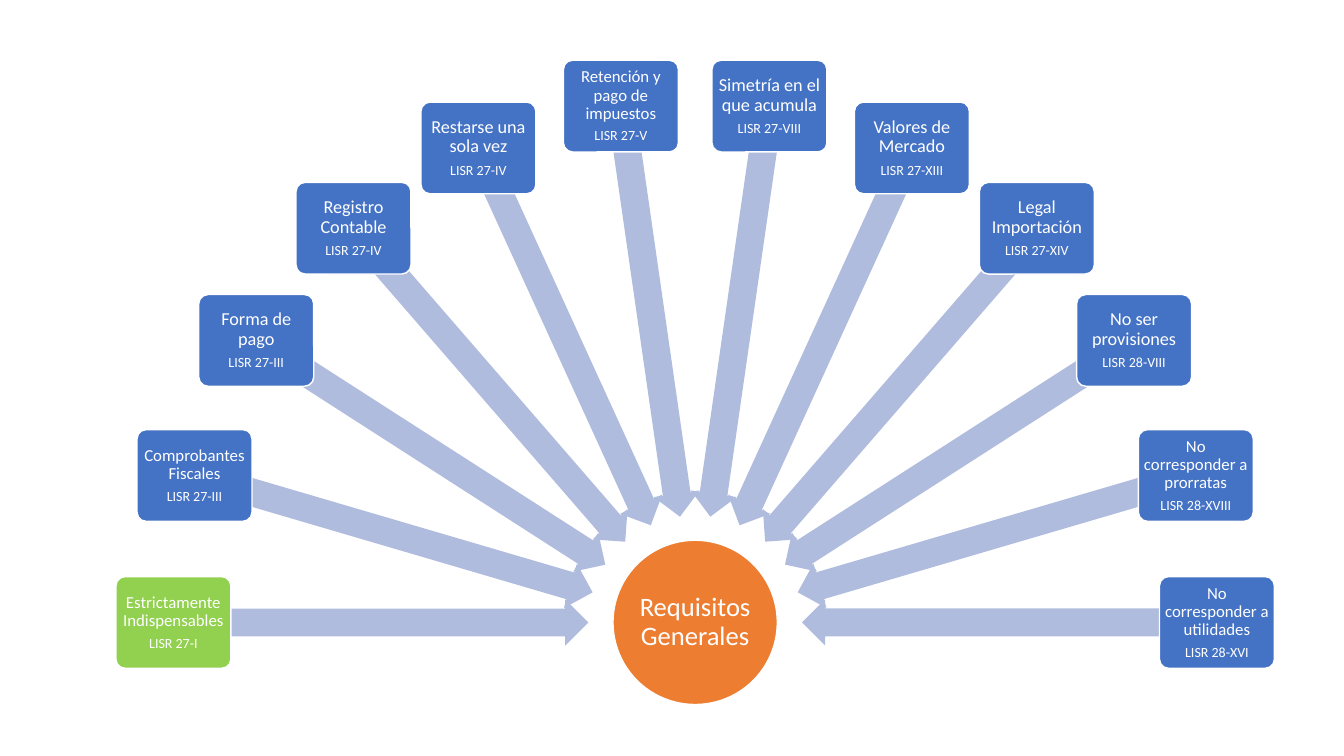
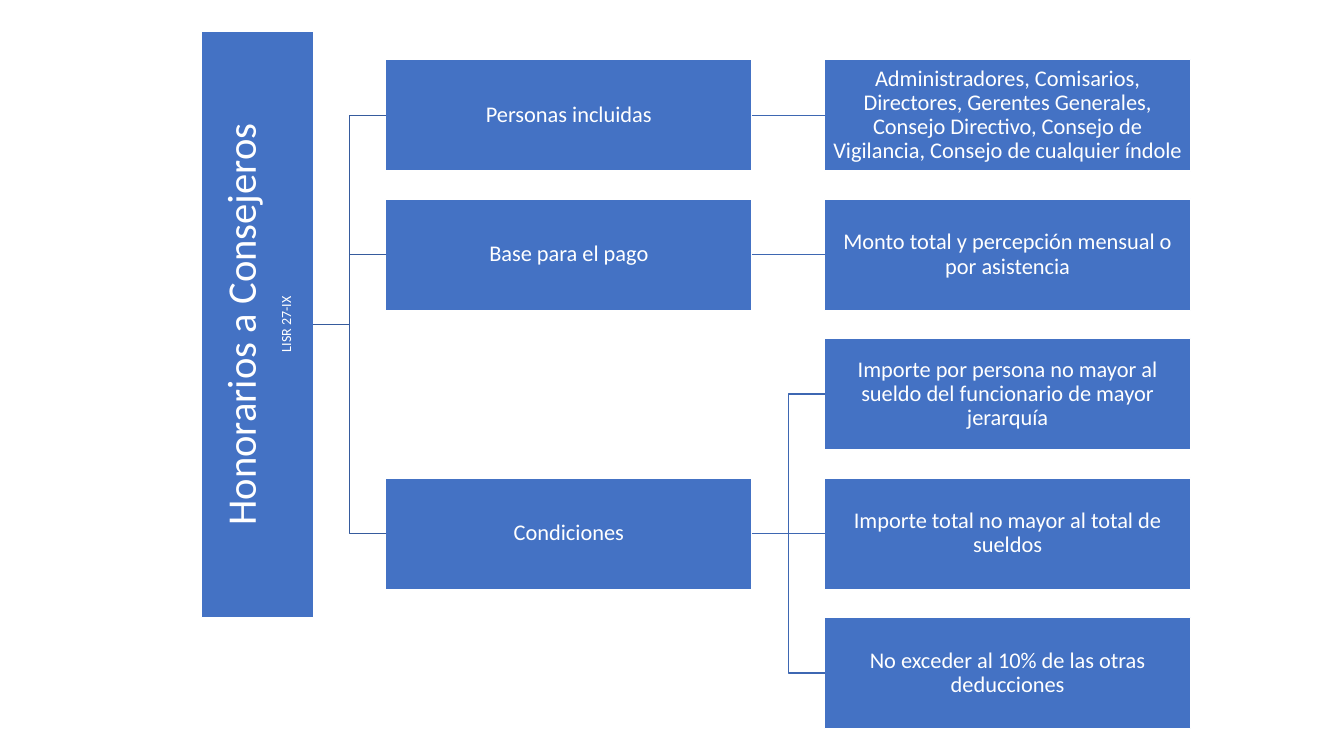
import math
from collections import namedtuple

from lxml import etree
from pptx import Presentation
from pptx.dml.color import RGBColor
from pptx.enum import shapes, text
from pptx.oxml import ns
from pptx.util import Inches, Pt

COLORS = {
    "box": "4472C4", "highlight": "92D050", "hub": "ED7D31", "arrow": "B0BCDE",
    "white": "FFFFFF", "root_line": "365B9D", "branch_line": "3E67B2",
}
FONT = "Calibri"
NOTE_SIZE = 10

Box = namedtuple("Box", "left top width height")

REQUIREMENTS = [
    ("Estrictamente Indispensables", "LISR 27-I", 12),
    ("Comprobantes Fiscales", "LISR 27-III", 12),
    ("Forma de pago", "LISR 27-III", 13),
    ("Registro Contable", "LISR 27-IV", 13),
    ("Restarse una sola vez", "LISR 27-IV", 13),
    ("Retención y pago de impuestos", "LISR 27-V", 12),
    ("Simetría en el que acumula", "LISR 27-VIII", 13),
    ("Valores de Mercado", "LISR 27-XIII", 13),
    ("Legal Importación", "LISR 27-XIV", 13),
    ("No ser provisiones", "LISR 28-VIII", 13),
    ("No corresponder a prorratas", "LISR 28-XVIII", 12),
    ("No corresponder a utilidades", "LISR 28-XVI", 12),
]

# Each branch: label, its row, and its leaves with their rows
BRANCHES = [
    ("Personas incluidas", 0, [
        ("Administradores, Comisarios, Directores, Gerentes Generales, "
         "Consejo Directivo, Consejo de Vigilancia, Consejo de cualquier índole", 0)]),
    ("Base para el pago", 1, [
        ("Monto total y percepción mensual o por asistencia", 1)]),
    ("Condiciones", 3, [
        ("Importe por persona no mayor al sueldo del funcionario de mayor jerarquía", 2),
        ("Importe total no mayor al total de sueldos", 3),
        ("No exceder al 10% de las otras deducciones", 4)]),
]


def rgb(name):
    return RGBColor.from_string(COLORS[name])


def add_centered(slide, kind, center_x, center_y, width, height, fill, outlined=True):
    shape = slide.shapes.add_shape(
        kind, Inches(center_x - width / 2), Inches(center_y - height / 2),
        Inches(width), Inches(height))
    shape.shadow.inherit = False
    shape.fill.solid()
    shape.fill.fore_color.rgb = rgb(fill)
    if outlined:
        shape.line.color.rgb = rgb("white")
        shape.line.width = Pt(1)
    else:
        shape.line.fill.background()
    return shape


def write(shape, lines, inset=0.01):
    """Fill a shape with centred white paragraphs given as (text, size) pairs."""
    frame = shape.text_frame
    frame.word_wrap = True
    frame.vertical_anchor = text.MSO_ANCHOR.MIDDLE
    frame.margin_left = frame.margin_right = Inches(inset)
    frame.margin_top = frame.margin_bottom = Inches(inset)
    for index, (words, size) in enumerate(lines):
        paragraph = frame.add_paragraph() if index else frame.paragraphs[0]
        paragraph.text = words
        paragraph.alignment = text.PP_ALIGN.CENTER
        paragraph.line_spacing = 0.9
        paragraph.space_after = Pt(0.35 * size)
        paragraph.font.name = FONT
        paragraph.font.size = Pt(size)
        paragraph.font.color.rgb = rgb("white")


def join(slide, parent, child, color):
    """Link the right side of the parent to the left side of the child."""
    level = parent.top + parent.height // 2 == child.top + child.height // 2
    kind = shapes.MSO_CONNECTOR.STRAIGHT if level else shapes.MSO_CONNECTOR.ELBOW
    connector = slide.shapes.add_connector(kind, 0, 0, 0, 0)
    connector.begin_connect(parent, 3)
    connector.end_connect(child, 1)
    connector.line.color.rgb = rgb(color)
    connector.line.width = Pt(1)
    etree.SubElement(connector.element.spPr, ns.qn("a:effectLst"))


def add_fan(slide, box, hub_text, cards):
    """Cards on a half circle, each with an arrow pointing at the hub."""
    card_width, card_height, hub_size = 1.14, 0.91, 1.63
    arrow_start, arrow_height = 1.06, 0.46
    center_x = box.left + box.width / 2
    center_y = box.top + box.height - hub_size / 2
    radius = (box.width - card_width) / 2
    arrow_length = radius - arrow_start
    arrow_radius = (radius + arrow_start) / 2

    hub = add_centered(slide, shapes.MSO_SHAPE.OVAL, center_x, center_y,
                       hub_size, hub_size, "hub")
    write(hub, [(hub_text, 19)])

    for index, (label, article, size) in enumerate(cards):
        degrees = 180 + 180 * index / (len(cards) - 1)
        cosine, sine = math.cos(math.radians(degrees)), math.sin(math.radians(degrees))
        arrow = add_centered(
            slide, shapes.MSO_SHAPE.LEFT_ARROW, center_x + arrow_radius * cosine,
            center_y + arrow_radius * sine, arrow_length, arrow_height, "arrow", False)
        arrow.adjustments[0] = 0.6
        arrow.rotation = degrees
        card = add_centered(
            slide, shapes.MSO_SHAPE.ROUNDED_RECTANGLE, center_x + radius * cosine,
            center_y + radius * sine, card_width, card_height,
            "box" if index else "highlight")
        card.adjustments[0] = 0.1
        write(card, [(label, size), (article, NOTE_SIZE)], inset=0.02)


def add_tree(slide, box, root_lines, branches):
    """Upright root at the left, then a column of branches and one of leaves."""
    last_row = max(row for _, _, leaves in branches for _, row in leaves)
    node_height = box.height / (1.25 * last_row + 1)
    row_pitch = 1.25 * node_height
    root_width, root_height, gap = node_height, 5.82, 0.72
    node_width = (box.width - root_width - 2 * gap) / 2

    def row_center(row):
        return box.top + node_height / 2 + row * row_pitch

    def add_node(column, row, label):
        left = box.left + root_width + gap + column * (node_width + gap)
        node = add_centered(slide, shapes.MSO_SHAPE.RECTANGLE, left + node_width / 2,
                            row_center(row), node_width, node_height, "box")
        write(node, [(label, 16)])
        return node

    middle_row = (branches[0][1] + branches[-1][1]) / 2
    root = add_centered(slide, shapes.MSO_SHAPE.RECTANGLE, box.left + root_width / 2,
                        row_center(middle_row), root_width, root_height, "box")
    write(root, root_lines, inset=0.02)
    root.element.txBody.find(ns.qn("a:bodyPr")).set("vert", "vert270")

    for label, row, leaves in branches:
        branch = add_node(0, row, label)
        join(slide, root, branch, "root_line")
        for leaf_label, leaf_row in leaves:
            join(slide, branch, add_node(1, leaf_row, leaf_label), "branch_line")


def main():
    presentation = Presentation()
    presentation.slide_width = Inches(13.33)
    presentation.slide_height = Inches(7.5)
    blank = presentation.slide_layouts[6]
    add_fan(presentation.slides.add_slide(blank), Box(1.15, 0.6, 11.49, 6.39),
            "Requisitos Generales", REQUIREMENTS)
    add_tree(presentation.slides.add_slide(blank), Box(2, 0.59, 9.81, 6.64),
             [("Honorarios a Consejeros", 29), ("LISR 27-IX", NOTE_SIZE)], BRANCHES)
    presentation.save("out.pptx")


if __name__ == "__main__":
    main()
